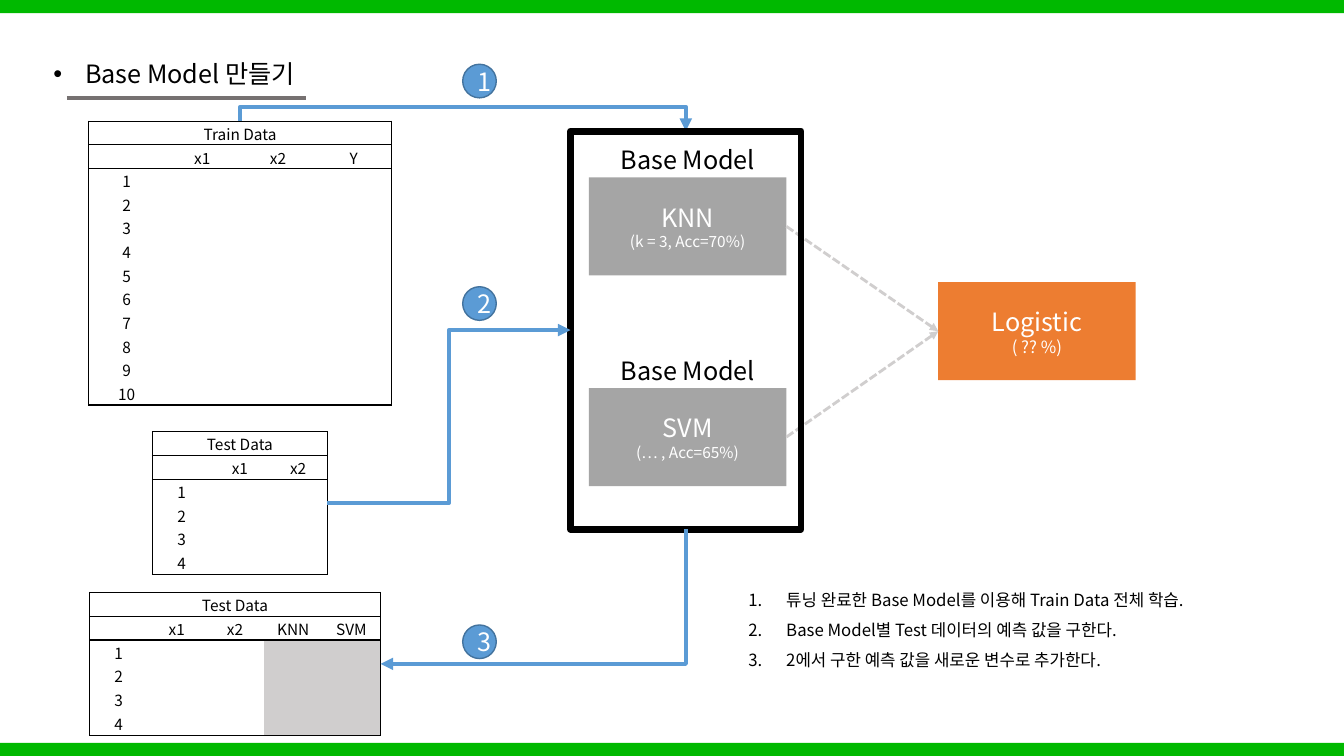
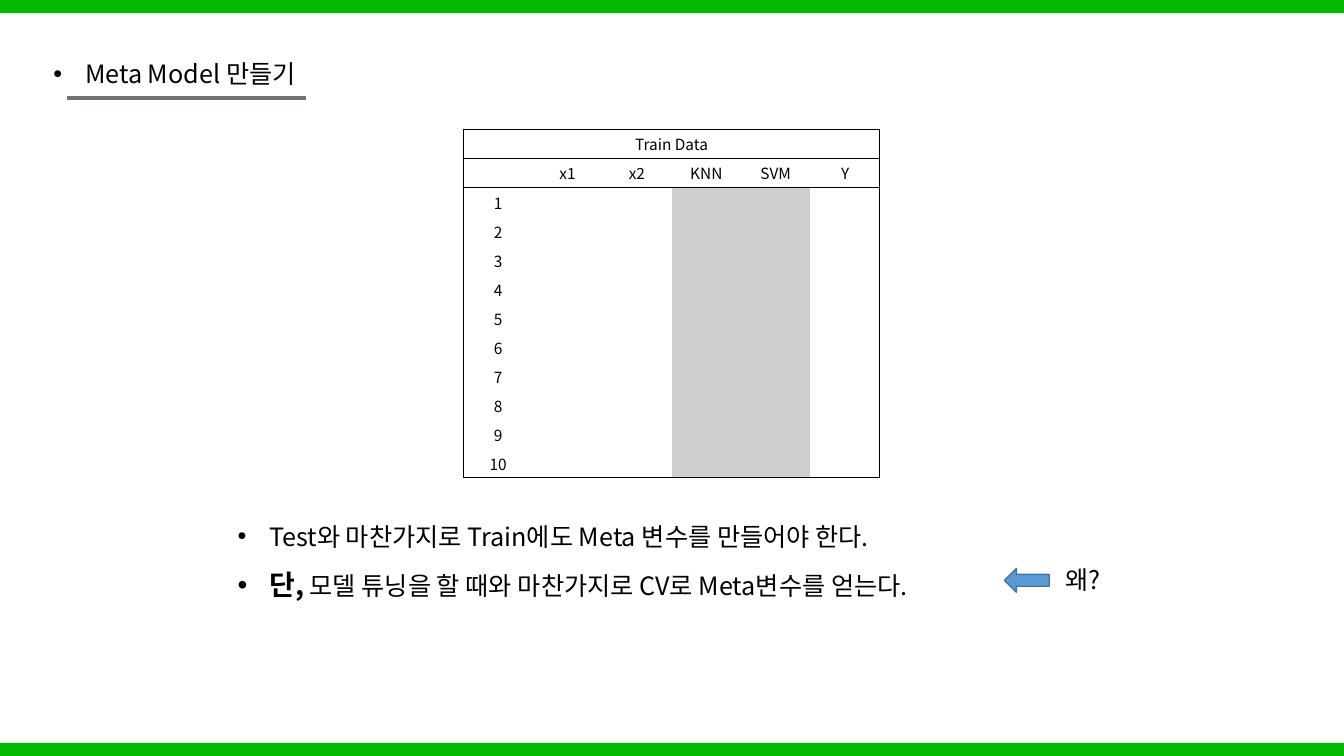
"""Builds two slides on stacking: base models and the meta model."""
from lxml import etree
from pptx import Presentation
from pptx.dml import color
from pptx.enum import dml, shapes, text
from pptx.oxml import ns
from pptx.util import Pt

FONT = "Noto Sans CJK KR"
BLACK, WHITE, GREEN, RULE = "000000", "FFFFFF", "00B900", "767171"
BLUE, DARK_BLUE, GRAY, LIGHT_GRAY, ORANGE = "5B9BD5", "43739E", "A5A5A5", "D0CECE", "ED7D31"
WIDTH, HEIGHT, BAND = 960, 540, 9.36
NO_STYLE = "{2D5ABB26-0587-4C30-8999-92F81FD0307C}"
DOT, NUMBER = ("a:buChar", "char", "•"), ("a:buAutoNum", "type", "arabicPeriod")
LEFT, CENTER = text.PP_ALIGN.LEFT, text.PP_ALIGN.CENTER

TITLES = ["Base Model 만들기", "Meta Model 만들기"]
BASE_TABLES = [
    ("Train Data", ["x1", "x2", "Y"], 10, (63.4, 86.6, 216.3, 203)),
    ("Test Data", ["x1", "x2", "KNN", "SVM"], 4, (64, 423.2, 207.8, 102)),
    ("Test Data", ["x1", "x2"], 4, (109, 308.3, 124.8, 102)),
]
META_TABLE = ("Train Data", ["x1", "x2", "KNN", "SVM", "Y"], 10, (331, 92.2, 297.6, 249))
MODEL_SIZE = (141, 70)
BASE_MODELS = [("KNN", "(k = 3, Acc=70%)", 126.7), ("SVM", "(… , Acc=65%)", 277.2)]
FRAME = (407.5, 93.6, 164.7, 284.4)
STEPS = [("1", 45.9), ("2", 204.8), ("3", 446.4)]
STEP_NOTES = [
    "튜닝 완료한 Base Model를 이용해 Train Data 전체 학습.",
    "Base Model별 Test 데이터의 예측 값을 구한다.",
    "2에서 구한 예측 값을 새로운 변수로 추가한다.",
]
META_NOTES = [
    [("Test와 마찬가지로 Train에도 Meta 변수를 만들어야 한다.", 18, False)],
    [("단,", 20, True), (" 모델 튜닝을 할 때와 마찬가지로 CV로 Meta변수를 얻는다.", 18, False)],
]


def rgb(value):
    """Turns a hex string into a colour."""
    return color.RGBColor.from_string(value)


def add_node(parent, tag, **attributes):
    """Appends a drawing element."""
    return etree.SubElement(parent, ns.qn(tag), attributes)


def add_run(paragraph, words, size, ink=BLACK, bold=False):
    """Adds one formatted run."""
    run = paragraph.add_run()
    run.text = words
    run.font.size, run.font.bold, run.font.name = Pt(size), bold, FONT
    run.font.color.rgb = rgb(ink)
    add_node(run.font._element, "a:ea", typeface=FONT)


def fill_text(frame, paragraphs, ink=BLACK, align=CENTER, anchor=text.MSO_ANCHOR.TOP,
              bullet=None, indent=0, spacing=None):
    """Writes paragraphs, each a list of (words, size, bold) runs."""
    frame.word_wrap, frame.vertical_anchor = True, anchor
    for index, runs in enumerate(paragraphs):
        paragraph = frame.add_paragraph() if index else frame.paragraphs[0]
        paragraph.alignment, paragraph.line_spacing = align, spacing
        if bullet:
            tag, key, value = bullet
            properties = paragraph._p.get_or_add_pPr()
            properties.set("marL", str(int(Pt(indent))))
            properties.set("indent", str(int(-Pt(indent))))
            add_node(properties, "a:buFont", typeface="Arial" if bullet is DOT else "+mj-lt")
            add_node(properties, tag, **{key: value})
        for words, size, bold in runs:
            add_run(paragraph, words, size, ink, bold)


def add_text(slide, box, paragraphs, **style):
    """Adds a text box."""
    fill_text(slide.shapes.add_textbox(*map(Pt, box)).text_frame, paragraphs, **style)


def add_box(slide, kind, box, fill=None, line=None, weight=1, paragraphs=()):
    """Adds a preset shape with optional white centred text."""
    shape = slide.shapes.add_shape(kind, *map(Pt, box))
    shape.shadow.inherit = False
    if fill:
        shape.fill.solid()
        shape.fill.fore_color.rgb = rgb(fill)
    else:
        shape.fill.background()
    if line:
        shape.line.color.rgb, shape.line.width = rgb(line), Pt(weight)
    else:
        shape.line.fill.background()
    fill_text(shape.text_frame, paragraphs, ink=WHITE, anchor=text.MSO_ANCHOR.MIDDLE)
    return shape


def add_line(slide, start, end, ink, weight, kind=shapes.MSO_CONNECTOR.STRAIGHT, arrow=True):
    """Adds a connector, with an arrowhead at its end if asked."""
    connector = slide.shapes.add_connector(kind, *map(Pt, start + end))
    connector.line.color.rgb, connector.line.width = rgb(ink), Pt(weight)
    if arrow:
        add_node(connector.line._get_or_add_ln(), "a:tailEnd", type="triangle")
    add_node(connector.element.spPr, "a:effectLst")
    return connector


def add_elbow(slide, start, end, vertical=False, bend=None, corner=False):
    """Adds a blue elbow arrow; a vertical one is turned so that it leaves up or down."""
    turn = 0
    if vertical:
        (x1, y1), (x2, y2) = start, end
        middle_x, middle_y = (x1 + x2) / 2, (y1 + y2) / 2
        half_x, half_y = (y2 - y1) / 2, abs(x2 - x1) / 2
        turn, side = (270, 1) if x2 > x1 else (90, -1)
        start = (middle_x + side * half_x, middle_y - half_y)
        end = (middle_x - side * half_x, middle_y + half_y)
    connector = add_line(slide, start, end, BLUE, 3, shapes.MSO_CONNECTOR.ELBOW)
    properties = connector.element.spPr
    if turn:
        properties.find(ns.qn("a:xfrm")).set("rot", str(turn * 60000))
    geometry = properties.find(ns.qn("a:prstGeom"))
    if corner:
        geometry.set("prst", "bentConnector2")
    if bend is not None:
        add_node(geometry.find(ns.qn("a:avLst")), "a:gd", name="adj1",
                 fmla=f"val {round(bend * 100000)}")


def format_cell(cell, words, sides, fill):
    """Sets the text, borders and fill of one cell."""
    cell.margin_left = cell.margin_right = cell.margin_top = Pt(0.7)
    cell.margin_bottom = 0
    cell.vertical_anchor = text.MSO_ANCHOR.MIDDLE
    paragraph = cell.text_frame.paragraphs[0]
    paragraph.alignment = CENTER
    if words:
        add_run(paragraph, words, 11)
    else:
        paragraph._p.get_or_add_endParaRPr().set("sz", "1100")
    properties = cell._tc.get_or_add_tcPr()
    for side in sides:
        border = add_node(properties, f"a:ln{side}", w=str(int(Pt(1))))
        add_node(add_node(border, "a:solidFill"), "a:srgbClr", val=BLACK)
    if fill:
        cell.fill.solid()
        cell.fill.fore_color.rgb = rgb(fill)
    else:
        cell.fill.background()


def add_data_table(slide, caption, headers, count, box):
    """Adds an outlined data table whose model columns are shaded."""
    columns, rows = len(headers) + 1, count + 2
    table = slide.shapes.add_table(rows, columns, *map(Pt, box)).table
    table.first_row = table.horz_banding = False
    table._tbl.tblPr.find(ns.qn("a:tableStyleId")).text = NO_STYLE
    for column in table.columns:
        column.width = Pt(box[2] / columns)
    for row in table.rows:
        row.height = Pt(box[3] / rows)
    table.cell(0, 0).merge(table.cell(0, columns - 1))
    grid = [[caption], ["", *headers]] + [[str(number + 1)] for number in range(count)]
    for r, line in enumerate(grid):
        for c in range(columns):
            edges = [("L", c == 0), ("R", c == columns - 1 or r == c == 0),
                     ("T", r < 2), ("B", r in (0, rows - 1))]
            shaded = r > 1 and c > 0 and headers[c - 1] in ("KNN", "SVM")
            format_cell(table.cell(r, c), line[c] if c < len(line) else "",
                        [side for side, drawn in edges if drawn], LIGHT_GRAY if shaded else None)


def add_titled_slide(presentation, title):
    """Adds a slide with its bulleted, underlined title."""
    slide = presentation.slides.add_slide(presentation.slide_layouts[5])
    shape = slide.shapes.title
    shape.left, shape.top, shape.width, shape.height = map(Pt, (31, 38.2, 314, 29))
    fill_text(shape.text_frame, [[(title, 18, False)]], align=LEFT, bullet=DOT, indent=22.5)
    add_line(slide, (47.8, 70), (218.4, 70), RULE, 3, arrow=False)
    return slide


def add_bands(presentation, slide):
    """Puts the green bands on the slide master."""
    for top in (0, HEIGHT - BAND):
        band = add_box(slide, shapes.MSO_SHAPE.RECTANGLE, (0, top, WIDTH, BAND), GREEN)
        presentation.slide_master.shapes.element.append(band.element)


def add_model(slide, name, detail, left, top, fill, detail_size):
    """Adds a model box with its name and detail."""
    return add_box(slide, shapes.MSO_SHAPE.RECTANGLE, (left, top, *MODEL_SIZE), fill,
                   paragraphs=[[(name, 18, False)], [(detail, detail_size, False)]])


def build_base_slide(slide):
    """Draws the data flow through the base models."""
    logistic = add_model(slide, "Logistic", "( ?? %)", 670.2, 201.6, ORANGE, 12)
    for name, detail, top in BASE_MODELS:
        model = add_model(slide, name, detail, 420.7, top, GRAY, 11)
        add_text(slide, (433, top - 27, 116.6, 26.6), [[("Base Model", 18, False)]])
        link = add_line(slide, (0, 0), (1, 1), LIGHT_GRAY, 2)
        link.line.dash_style = dml.MSO_LINE.SQUARE_DOT
        link.begin_connect(model, 3)
        link.end_connect(logistic, 1)
    for table in BASE_TABLES:
        add_data_table(slide, *table)
    left, top, width, height = FRAME
    center, bottom = left + width / 2, top + height
    add_elbow(slide, (171.5, 86.6), (center, top), vertical=True, bend=-1.47)
    add_box(slide, shapes.MSO_SHAPE.RECTANGLE, FRAME, line=BLACK, weight=5)
    add_elbow(slide, (center, bottom), (271.8, 474.2), vertical=True, corner=True)
    add_elbow(slide, (233.8, 359.3), (left, top + height / 2), bend=0.5)
    add_text(slide, (527.5, 410.4, 358.6, 72.7), [[(note, 12, False)] for note in STEP_NOTES],
             align=LEFT, bullet=NUMBER, indent=27, spacing=1.5)
    for number, step_top in STEPS:
        add_box(slide, shapes.MSO_SHAPE.OVAL, (330.5, step_top, 24, 24), BLUE, DARK_BLUE,
                paragraphs=[[(number, 18, False)]])


def build_meta_slide(slide):
    """Draws the meta table with its notes."""
    add_data_table(slide, *META_TABLE)
    add_text(slide, (162.7, 357.8, 635, 105), META_NOTES,
             align=LEFT, bullet=DOT, indent=22.5, spacing=1.5)
    add_text(slide, (749.5, 399.6, 48.2, 30), [[("왜?", 18, False)]])
    add_box(slide, shapes.MSO_SHAPE.LEFT_ARROW, (717.5, 406, 32, 17), BLUE, DARK_BLUE)


def main():
    """Builds and saves the presentation."""
    presentation = Presentation()
    presentation.slide_width, presentation.slide_height = Pt(WIDTH), Pt(HEIGHT)
    base, meta = [add_titled_slide(presentation, title) for title in TITLES]
    add_bands(presentation, base)
    build_base_slide(base)
    build_meta_slide(meta)
    presentation.save("out.pptx")


if __name__ == "__main__":
    main()
